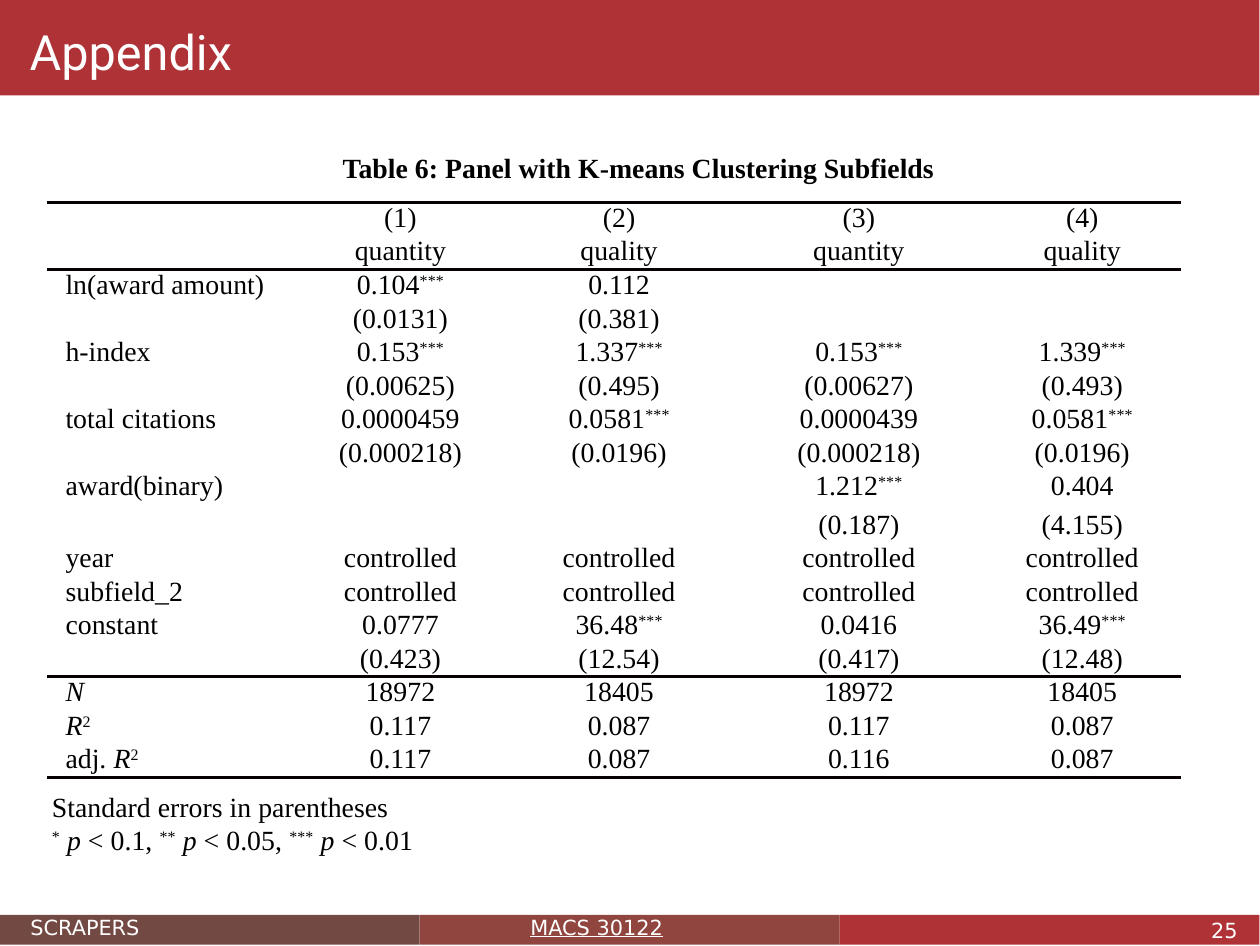
import pptx
import pptx.util
import pptx.dml.color
import pptx.enum.shapes
import pptx.enum.text
import lxml.etree

Pt = pptx.util.Pt
RGB = pptx.dml.color.RGBColor
ALIGN = pptx.enum.text.PP_ALIGN
ANCHOR = pptx.enum.text.MSO_ANCHOR

RED = RGB(0xAE, 0x32, 0x36)
BROWN = RGB(0x73, 0x49, 0x43)
RUST = RGB(0x90, 0x46, 0x3F)
WHITE = RGB(0xFF, 0xFF, 0xFF)
BLACK = RGB(0, 0, 0)
RULE = RGB(0x08, 0, 0)

TITLE = {"name": "Roboto", "size": Pt(14)}
SERIF = {"name": "Times New Roman", "size": Pt(8)}
BOLD = {**SERIF, "bold": True}
SMALL = {"name": "DejaVu Sans", "size": Pt(6)}
LINKED = {**SMALL, "underline": True}

SLIDE_W, SLIDE_H = 363, 272.5
BAND_W, BAND_BOTTOM = 362.85, 272.15
COL_WIDTHS = (72, 59.8, 66.2, 72, 56.7)
ROW_HEIGHT, TALL_ROW, TALL_HEIGHT = 9.68, 8, 11
RULES = {0: "lnT", 1: "lnB", 13: "lnB", 16: "lnB"}
NO_STYLE = "{2D5ABB26-0587-4C30-8999-92F81FD0307C}"

ROWS = (
    ("", "(1)", "(2)", "(3)", "(4)"),
    ("", "quantity", "quality", "quantity", "quality"),
    ("ln(award amount)", "0.104|^***", "0.112", "", ""),
    ("", "(0.0131)", "(0.381)", "", ""),
    ("h-index", "0.153|^***", "1.337|^***", "0.153|^***", "1.339|^***"),
    ("", "(0.00625)", "(0.495)", "(0.00627)", "(0.493)"),
    ("total citations", "0.0000459", "0.0581|^***", "0.0000439", "0.0581|^***"),
    ("", "(0.000218)", "(0.0196)", "(0.000218)", "(0.0196)"),
    ("award(binary)", "", "", "1.212|^***", "0.404"),
    ("", "", "", "(0.187)", "(4.155)"),
    ("year",) + ("controlled",) * 4,
    ("subfield_2",) + ("controlled",) * 4,
    ("constant", "0.0777", "36.48|^***", "0.0416", "36.49|^***"),
    ("", "(0.423)", "(12.54)", "(0.417)", "(12.48)"),
    ("/N", "18972", "18405", "18972", "18405"),
    ("/R|^2", "0.117", "0.087", "0.117", "0.087"),
    ("adj. |/R|^2", "0.117", "0.087", "0.116", "0.087"),
)
NOTES = (
    "Standard errors in parentheses",
    "^*| |/p| < 0.1, |^**| |/p| < 0.05, |^***| |/p| < 0.01",
)


def write(p, text, style, color, align=ALIGN.LEFT):
    p.alignment = align
    if not text:
        end = lxml.etree.SubElement(p._p, pptx.oxml.ns.qn("a:endParaRPr"))
        end.set("sz", str(int(style["size"].pt * 100)))
        latin = lxml.etree.SubElement(end, pptx.oxml.ns.qn("a:latin"))
        latin.set("typeface", style["name"])
        return
    for part in text.split("|"):
        r = p.add_run()
        r.text = part.lstrip("^/")
        for key, value in style.items():
            setattr(r.font, key, value)
        r.font.color.rgb = color
        if part.startswith("^"):
            r.font._element.set("baseline", "30000")
        if part.startswith("/"):
            r.font.italic = True


def fill_frame(tf, lines, style, color, insets, align=ALIGN.LEFT, anchor=ANCHOR.TOP):
    left, top, right, bottom = insets
    settings = {
        "word_wrap": True, "vertical_anchor": anchor,
        "auto_size": pptx.enum.text.MSO_AUTO_SIZE.NONE,
        "margin_left": Pt(left), "margin_top": Pt(top),
        "margin_right": Pt(right), "margin_bottom": Pt(bottom),
    }
    for key, value in settings.items():
        setattr(tf, key, value)
    for i, line in enumerate(lines):
        p = tf.add_paragraph() if i else tf.paragraphs[0]
        write(p, line, style, color, align)


def add_text(s, box, *args, **kwargs):
    sp = s.shapes.add_textbox(*map(Pt, box))
    fill_frame(sp.text_frame, *args, **kwargs)


def add_bar(s, box, color):
    sp = s.shapes.add_shape(pptx.enum.shapes.MSO_SHAPE.RECTANGLE, *map(Pt, box))
    sp.shadow.inherit = False
    sp.fill.solid()
    sp.fill.fore_color.rgb = color
    sp.line.fill.background()
    return sp


def add_header(s, x, y, w, h):
    bar = add_bar(s, (x, y, w, h), RED)
    s.slide_layout.slide_master.shapes._spTree.insert(2, bar._element)
    sp = s.shapes.title
    place = {"left": x + 7.5, "top": y + 4.8, "width": 318, "height": 18}
    for key, value in place.items():
        setattr(sp, key, Pt(value))
    fill_frame(sp.text_frame, ["Appendix"], TITLE, WHITE, (1, 1.4, 0, 0))


def add_rule(cell, tag):
    ln = lxml.etree.Element(pptx.oxml.ns.qn("a:" + tag), w=str(Pt(1)))
    fill = lxml.etree.SubElement(ln, pptx.oxml.ns.qn("a:solidFill"))
    lxml.etree.SubElement(fill, pptx.oxml.ns.qn("a:srgbClr"), val=str(RULE))
    cell._tc.get_or_add_tcPr().insert(0, ln)


def add_results(s, x, y, w, h):
    add_text(s, (x + 78.1, y - 18.5, 188.6, 14.4),
             ["Table 6: Panel with K-means Clustering Subfields"],
             BOLD, BLACK, (7.2, 3.6, 7.2, 3.6))
    frame = s.shapes.add_table(len(ROWS), len(COL_WIDTHS), *map(Pt, (x, y, w, h)))
    table = frame.table
    table.first_row = table.horz_banding = False
    table._tbl.tblPr.find(pptx.oxml.ns.qn("a:tableStyleId")).text = NO_STYLE
    for column, width in zip(table.columns, COL_WIDTHS):
        column.width = Pt(width)
    for i, row in enumerate(ROWS):
        table.rows[i].height = Pt(TALL_HEIGHT if i == TALL_ROW else ROW_HEIGHT)
        for j, text in enumerate(row):
            cell = table.cell(i, j)
            cell.margin_left = cell.margin_right = Pt(5.4)
            cell.margin_top = cell.margin_bottom = 0
            cell.fill.background()
            write(cell.text_frame.paragraphs[0], text, SERIF, BLACK,
                  ALIGN.CENTER if j else ALIGN.LEFT)
            if i in RULES:
                add_rule(cell, RULES[i])
    add_text(s, (x - 5.6, y + h - 0.2, 164, 23), NOTES,
             SERIF, BLACK, (7.2, 3.6, 7.2, 3.6))


def add_footer(s, x, y, w, h):
    for i, color in enumerate((BROWN, RUST, RED)):
        add_bar(s, (x + i * w / 3, y, w / 3, h), color)
    add_text(s, (x + 8, y - 2, 105, 9.4), ["SCRAPERS"],
             SMALL, WHITE, (0.8, 2, 0, 0))
    add_text(s, (x + 152, y - 2, 59, 9.4), ["MACS 30122"],
             LINKED, WHITE, (0.8, 2, 0, 0))
    add_text(s, (x + 344.2, y - 1.3, 14.4, 9.4), ["25"],
             SMALL, WHITE, (0, 2, 2, 0), align=ALIGN.RIGHT, anchor=ANCHOR.MIDDLE)


def main():
    prs = pptx.Presentation()
    prs.slide_width, prs.slide_height = Pt(SLIDE_W), Pt(SLIDE_H)
    prs.element.sldSz.attrib.pop("type", None)
    s = prs.slides.add_slide(prs.slide_layouts[5])
    add_header(s, 0, 0, BAND_W, 27.5)
    add_footer(s, 0, 263.5, BAND_W, BAND_BOTTOM - 263.5)
    height = ROW_HEIGHT * (len(ROWS) - 1) + TALL_HEIGHT
    add_results(s, 13.5, 58.3, sum(COL_WIDTHS), height)
    prs.save("out.pptx")


if __name__ == "__main__":
    main()
